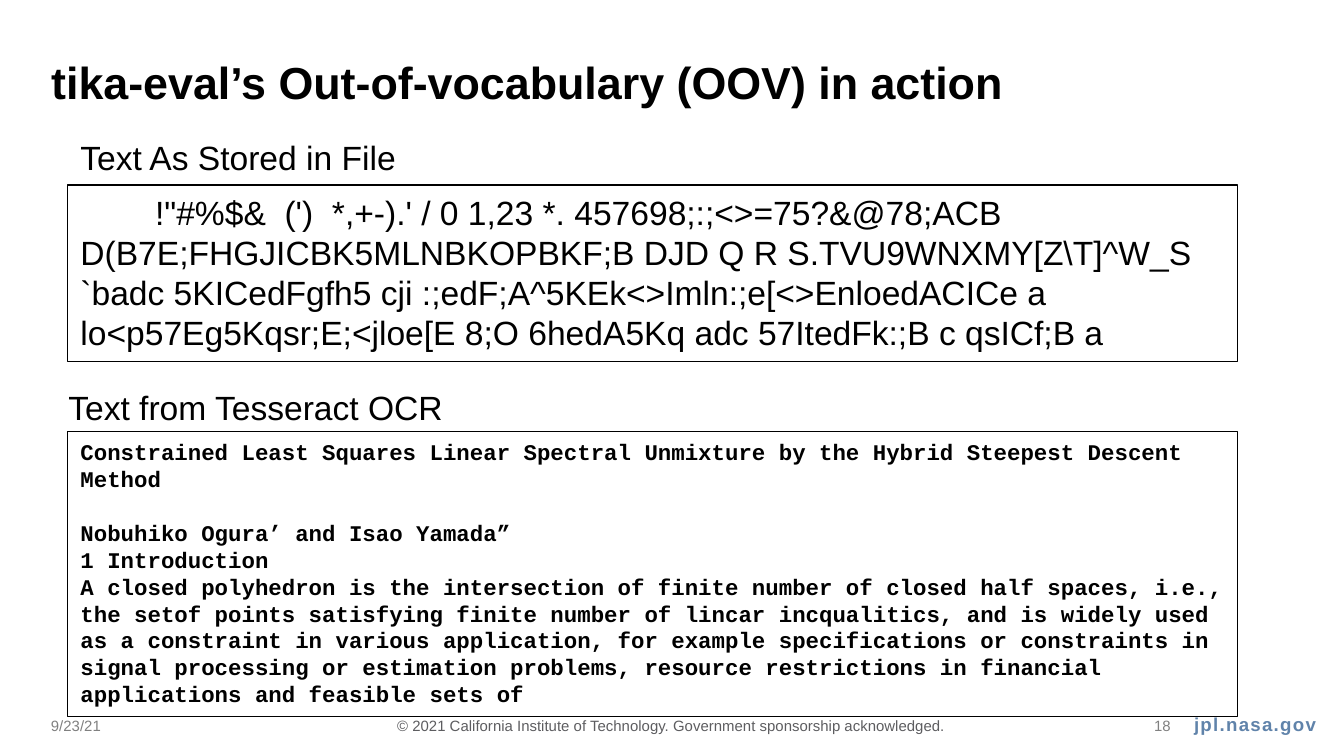
from pptx import Presentation
from pptx.dml.color import RGBColor
from pptx.enum.shapes import MSO_SHAPE
from pptx.enum.text import MSO_ANCHOR, PP_ALIGN
from pptx.util import Pt

# Content
TITLE = "tika-eval’s Out-of-vocabulary (OOV) in action"
STORED_LABEL = "Text As Stored in File"
STORED_TEXT = [
    "!\"#%$&  (')  *,+-).' / 0 1,23 *. 457698;:;<>=75?&@78;ACB "
    "D(B7E;FHGJICBK5MLNBKOPBKF;B DJD Q R S.TVU9WNXMY[Z\\T]^W_S "
    "`badc 5KICedFgfh5 cji :;edF;A^5KEk<>Imln:;e[<>EnloedACICe a "
    "lo<p57Eg5Kqsr;E;<jloe[E 8;O 6hedA5Kq adc 57ItedFk:;B c qsICf;B a",
]
OCR_LABEL = "Text from Tesseract OCR"
OCR_TEXT = [
    "Constrained Least Squares Linear Spectral Unmixture by the Hybrid "
    "Steepest Descent Method",
    "Nobuhiko Ogura’ and Isao Yamada”",
    "1 Introduction",
    "A closed polyhedron is the intersection of finite number of closed half "
    "spaces, i.e., the setof points satisfying finite number of lincar "
    "incqualitics, and is widely used as a constraint in various application, "
    "for example specifications or constraints in signal processing or "
    "estimation problems, resource restrictions in financial applications and "
    "feasible sets of",
]
DATE, PAGE, SITE = "9/23/21", "18", "jpl.nasa.gov"
CREDIT = ("© 2021 California Institute of Technology. "
          "Government sponsorship acknowledged.")

# Theme: font, size, colour, bold
THEME = {
    "title": ("Arial", 24, "000000", True),
    "body": ("Arial", 18, "000000", False),
    "ocr": ("Courier New", 12, "000000", True),
    "footer": ("Arial", 8, "808080", False),
    "credit": ("Arial", 8, "5D5D60", False),
    "site": ("Arial", 10, "6083AA", True),
}
LINE_COLOR = "000000"
LEADING = 1.2

# Layout
MARGIN, BOX_X, BOX_W = 20.2, 36, 627.1
FOOTER_Y, FOOTER_H = 378, 21.6


def write(tf, lines, style, align=PP_ALIGN.LEFT, anchor=MSO_ANCHOR.TOP):
    font, size, color, bold = THEME[style]
    tf.word_wrap = True
    tf.vertical_anchor = anchor
    tf.text = "\n".join(lines)
    for p in tf.paragraphs:
        p.alignment = align
        p.line_spacing = Pt(size * LEADING)
        p.space_before = Pt(0)
        for r in p.runs:
            r.font.name, r.font.size, r.font.bold = font, Pt(size), bold
            r.font.color.rgb = RGBColor.from_string(color)
    return tf


def add_text(s, text, style, x, y, w, h, **options):
    tb = s.shapes.add_textbox(Pt(x), Pt(y), Pt(w), Pt(h))
    return write(tb.text_frame, [text], style, **options)


def add_box(s, lines, style, y, h):
    sp = s.shapes.add_shape(MSO_SHAPE.RECTANGLE,
                            Pt(BOX_X), Pt(y), Pt(BOX_W), Pt(h))
    sp.shadow.inherit = False
    sp.fill.background()
    sp.line.color.rgb = RGBColor.from_string(LINE_COLOR)
    sp.line.width = Pt(0.75)
    return write(sp.text_frame, lines, style)


def main():
    prs = Presentation()
    prs.slide_width, prs.slide_height = Pt(720), Pt(405)
    s = prs.slides.add_slide(prs.slide_layouts[5])

    # Title
    title = s.shapes.title
    title.left, title.top = Pt(MARGIN), Pt(25.9)
    title.width, title.height = Pt(670.3), Pt(33.8)
    write(title.text_frame, [TITLE], "title")

    # Stored text, first line indented
    add_text(s, STORED_LABEL, "body", BOX_X, 69.8, 306.7, 28.8)
    tf = add_box(s, STORED_TEXT, "body", 99, 94.6)
    tf.paragraphs[0]._p.get_or_add_pPr().set("indent", str(Pt(40)))

    # Recognised text, one line of space below its heading
    add_text(s, OCR_LABEL, "body", 29.5, 203.8, 330.5, 28.8)
    tf = add_box(s, OCR_TEXT, "ocr", 231.3, 152.6)
    tf.paragraphs[1].space_before = Pt(THEME["ocr"][1] * LEADING)

    # Footer
    for text, style, x, w, align in [
        (DATE, "footer", MARGIN, 112.3, PP_ALIGN.LEFT),
        (CREDIT, "credit", 131.8, 455.8, PP_ALIGN.CENTER),
        (PAGE, "footer", 588.2, 46.1, PP_ALIGN.RIGHT),
    ]:
        add_text(s, text, style, x, FOOTER_Y, w, FOOTER_H,
                 align=align, anchor=MSO_ANCHOR.MIDDLE)
    tf = add_text(s, SITE, "site", 614.9, 371.5, 97.2, 33.1,
                  align=PP_ALIGN.RIGHT, anchor=MSO_ANCHOR.MIDDLE)
    tf.paragraphs[0].runs[0].font._element.set("spc", "70")

    prs.save("out.pptx")


if __name__ == "__main__":
    main()
